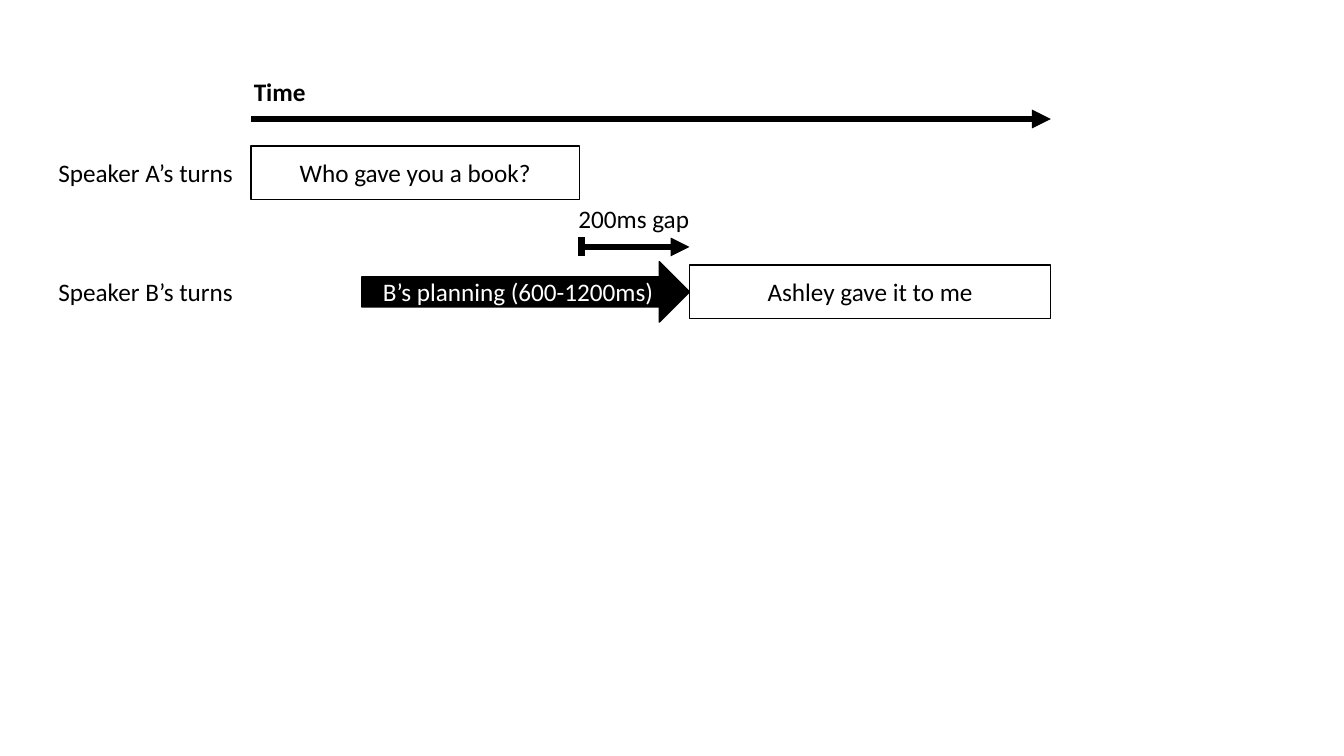
from dataclasses import dataclass

from lxml import etree
from pptx import Presentation
from pptx.dml.color import RGBColor
from pptx.enum import shapes, text
from pptx.oxml import ns
from pptx.util import Pt


@dataclass(frozen=True)
class Theme:
    font: str = "Calibri"
    size: float = 18
    black: RGBColor = RGBColor(0, 0, 0)
    white: RGBColor = RGBColor(255, 255, 255)
    outline: float = 1
    stroke: float = 4.5


THEME = Theme()
LABEL_LEFT = 34.6
LABEL_HEIGHT = 29
TURN_HEIGHT = 38.2
TURN_A_TOP, TURN_B_TOP = 104.4, 189.4
TURN_A_START, TURN_A_END = 179.3, 414
TURN_B_START, TURN_B_END = 492.5, 750.6
PLANNING_START = 258.5
PLANNING_HEIGHT = 43.2
TIME_Y, GAP_Y = 85, 176.4


def write(shape, wording, color, bold=False):
    frame = shape.text_frame
    frame.text = wording
    font = frame.paragraphs[0].runs[0].font
    font.name = THEME.font
    font.size = Pt(THEME.size)
    font.bold = bold
    font.color.rgb = color


def add_label(slide, wording, left, top, width, bold=False):
    label = slide.shapes.add_textbox(Pt(left), Pt(top), Pt(width), Pt(LABEL_HEIGHT))
    write(label, wording, THEME.black, bold)
    label.text_frame.word_wrap = False
    label.text_frame.auto_size = text.MSO_AUTO_SIZE.SHAPE_TO_FIT_TEXT


def add_block(slide, kind, wording, start, end, top, height, fill, color):
    block = slide.shapes.add_shape(kind, Pt(start), Pt(top), Pt(end - start), Pt(height))
    block.shadow.inherit = False
    block.fill.solid()
    block.fill.fore_color.rgb = fill
    block.line.color.rgb = THEME.black
    block.line.width = Pt(THEME.outline)
    write(block, wording, color)
    block.text_frame.word_wrap = False
    block.text_frame.vertical_anchor = text.MSO_ANCHOR.MIDDLE
    block.text_frame.paragraphs[0].alignment = text.PP_ALIGN.CENTER


def add_turn(slide, speaker, wording, start, end, top):
    label_top = top + (TURN_HEIGHT - LABEL_HEIGHT) / 2
    add_label(slide, speaker, LABEL_LEFT, label_top, 140.4)
    add_block(slide, shapes.MSO_SHAPE.RECTANGLE, wording, start, end, top,
              TURN_HEIGHT, THEME.white, THEME.black)


def add_line(slide, x1, y1, x2, y2, arrow=False):
    line = slide.shapes.add_connector(
        shapes.MSO_CONNECTOR.STRAIGHT, Pt(x1), Pt(y1), Pt(x2), Pt(y2))
    line.line.color.rgb = THEME.black
    line.line.width = Pt(THEME.stroke)
    if arrow:
        outline = line.line._get_or_add_ln()
        etree.SubElement(outline, ns.qn("a:tailEnd"), type="triangle")
    etree.SubElement(line._element.spPr, ns.qn("a:effectLst"))


def main():
    presentation = Presentation()
    presentation.slide_width = Pt(960)
    presentation.slide_height = Pt(540)
    slide = presentation.slides.add_slide(presentation.slide_layouts[6])

    add_turn(slide, "Speaker A’s turns", "Who gave you a book?",
             TURN_A_START, TURN_A_END, TURN_A_TOP)
    add_turn(slide, "Speaker B’s turns", "Ashley gave it to me",
             TURN_B_START, TURN_B_END, TURN_B_TOP)

    add_label(slide, "Time", 174.2, 51.1, 51.8, bold=True)
    add_line(slide, TURN_A_START, TIME_Y, TURN_B_END, TIME_Y, arrow=True)

    add_label(slide, "200ms gap", 406.1, 141.8, 94.3)
    add_line(slide, TURN_A_END, GAP_Y, TURN_B_START, GAP_Y, arrow=True)
    tick_x = TURN_A_END + 1.4
    add_line(slide, tick_x, GAP_Y - 6.8, tick_x, GAP_Y + 6.8)

    planning_top = TURN_B_TOP + (TURN_HEIGHT - PLANNING_HEIGHT) / 2
    add_block(slide, shapes.MSO_SHAPE.RIGHT_ARROW, "B’s planning (600-1200ms)",
              PLANNING_START, TURN_B_START, planning_top, PLANNING_HEIGHT,
              THEME.black, THEME.white)

    presentation.save("out.pptx")


main()
